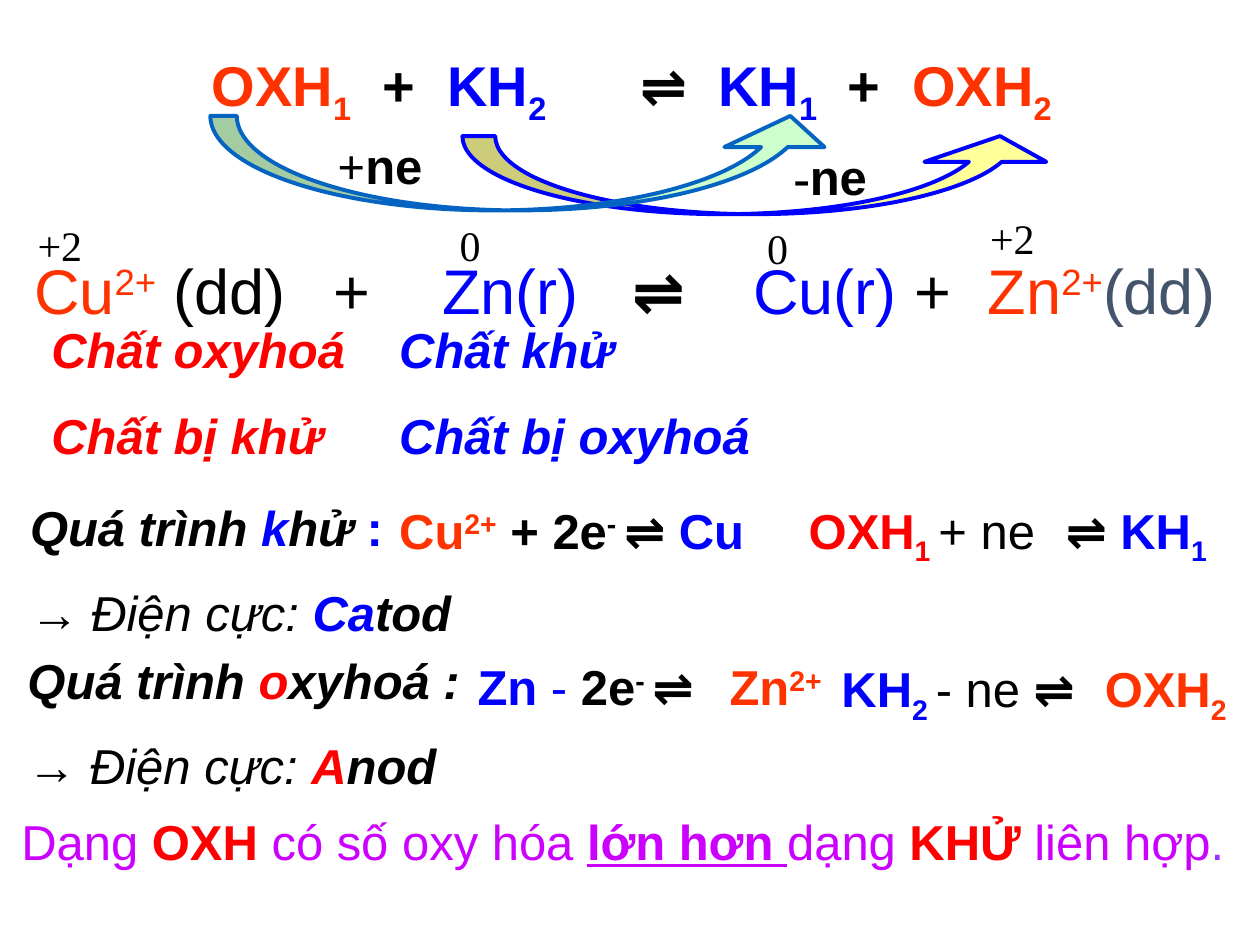
from lxml import etree
from pptx import Presentation
from pptx.dml.color import RGBColor
from pptx.enum.shapes import MSO_SHAPE as Shape
from pptx.enum.text import MSO_ANCHOR as Anchor, MSO_AUTO_SIZE as AutoSize, PP_ALIGN as Align
from pptx.oxml.ns import qn
from pptx.util import Inches, Pt

COLORS = {
    "black": "000000", "blue": "0000FF", "orange": "FF3300", "red": "FF0000",
    "slate": "44546A", "violet": "CC00FF", "purple": "9933FF",
    "teal": "0563C1", "yellow": "FFFF99", "mint": "CCFFCC",
}
BASELINES = {"^": "30000", "_": "-25000"}


def color(name):
    """Return the named colour."""
    return RGBColor.from_string(COLORS[name])


def add_span(para, size, text, tint="black", style=""):
    """Add a run; style letters: b, i, u, t (Times), ^ (super), _ (sub)."""
    span = para.add_run()
    span.text = text
    font = span.font
    font.name = "Times New Roman" if "t" in style else "Arial"
    font.size = Pt(size)
    font.bold = "b" in style
    font.italic = "i" in style
    font.underline = "u" in style
    font.color.rgb = color(tint)
    for mark, baseline in BASELINES.items():
        if mark in style:
            span._r.get_or_add_rPr().set("baseline", baseline)


def set_tabs(para, stops):
    """Set left tab stops, in inches from the start of the text."""
    tab_list = etree.SubElement(para._p.get_or_add_pPr(), qn("a:tabLst"))
    for stop in stops:
        etree.SubElement(tab_list, qn("a:tab"), pos=str(Inches(stop)), algn="l")


def fill_text(box, lines, size=28, stops=()):
    """Write lines of runs into a box."""
    frame = box.text_frame
    frame.word_wrap = True
    frame.auto_size = AutoSize.NONE
    for index, spans in enumerate(lines):
        para = frame.paragraphs[0] if index == 0 else frame.add_paragraph()
        para.alignment = Align.LEFT
        para.space_before = Pt(15 if index else 0)
        if stops:
            set_tabs(para, stops)
        for span in spans:
            add_span(para, size, *span)


def place(box, left, top, width, height):
    """Move and size a placeholder."""
    box.left, box.top = Inches(left), Inches(top)
    box.width, box.height = Inches(width), Inches(height)


def add_text(page, area, lines, size=28, stops=()):
    """Add a text box and return it."""
    box = page.shapes.add_textbox(*map(Inches, area))
    fill_text(box, lines, size, stops)
    return box


def add_arrow(page, area, fill, line, adjustments):
    """Add a curved electron transfer arrow."""
    arrow = page.shapes.add_shape(Shape.CURVED_UP_ARROW, *map(Inches, area))
    for index, value in enumerate(adjustments):
        arrow.adjustments[index] = value
    arrow.shadow.inherit = False
    arrow.fill.solid()
    arrow.fill.fore_color.rgb = color(fill)
    arrow.line.color.rgb = color(line)
    arrow.line.width = Pt(2.25)


def add_reaction(page, left, top, width, height):
    """Write the copper and zinc reaction with its oxidation numbers."""
    title = page.shapes.title
    place(title, left, top, width, height)
    fill_text(title, [[
        ("Cu", "orange"), ("2+", "orange", "^"), (" (dd)\t+\t",),
        ("Zn(r)\t", "blue"), ("⇌\t", "black", "b"), ("Cu(r)", "blue"),
        (" +\t",), ("Zn", "orange"), ("2+", "orange", "^"), ("(dd)", "slate"),
    ]], 36, (2.38, 3.24, 4.75, 5.71, 7.57))
    title.text_frame.vertical_anchor = Anchor.MIDDLE
    title.text_frame.paragraphs[0].line_spacing = 0.9
    for dx, dy, number in ((0.03, -0.02, "+2"), (5.82, 0.01, "0"),
                           (3.38, -0.02, "0"), (7.59, -0.07, "+2")):
        add_text(page, (left + dx, top + dy, 0.83, 0.5), [[(number, "black", "t")]], 24)


def add_roles(page, left, top, width, height):
    """Name the roles of both reactants in two columns."""
    columns = (("red", "Chất oxyhoá", "Chất bị khử"),
               ("blue", "Chất khử", "Chất bị oxyhoá"))
    for index, (tint, *names) in enumerate(columns):
        add_text(page, (left + index * 2.76, top, width, height),
                 [[(name, tint, "bi")] for name in names])


def add_reduction(page, left, top, width, height):
    """Write the reduction process at the cathode."""
    add_text(page, (left + 2.93, top + 0.02, 3.25, 0.64), [[
        ("Cu", "orange", "b"), ("2+", "orange", "b^"), (" + 2e", "black", "b"),
        ("- ", "black", "b^"), ("⇌ ", "black", "b"), ("Cu", "blue", "b"),
    ]])
    add_text(page, (left + 6.18, top + 0.02, 3.58, 0.57), [[
        ("OXH", "red", "b"), ("1 ", "red", "b_"), ("+ ne\t",),
        ("⇌ ", "black", "b"), ("KH", "blue", "b"), ("1", "blue", "b_"),
    ]], stops=(2.04,))
    add_text(page, (left, top, width, height), [
        [("Quá trình ", "black", "bi"), ("k", "blue", "bi"),
         ("hử ", "black", "bi"), (":", "blue", "b")],
        [("→ ", "black", "it"), ("Điện cực: ", "black", "i"),
         ("Ca", "blue", "bi"), ("tod", "black", "bi")],
    ])


def add_oxidation(page, left, top, width, height):
    """Write the oxidation process at the anode."""
    body = page.placeholders[1]
    place(body, left + 3.57, top - 0.23, 4, 1)
    fill_text(body, [[
        ("Zn ", "blue", "b"), ("- ", "blue"), ("2e", "black", "b"),
        ("- ", "black", "b^"), ("⇌\t", "black", "b"),
        ("Zn", "orange", "b"), ("2+", "orange", "b^"),
    ]], stops=(1.92,))
    body.text_frame.vertical_anchor = Anchor.BOTTOM
    body.text_frame.margin_bottom = Inches(0.2)
    properties = body.text_frame.paragraphs[0]._p.get_or_add_pPr()
    properties.set("marL", "0")
    properties.set("indent", "0")
    properties.find(qn("a:tabLst")).addprevious(etree.Element(qn("a:buNone")))
    add_text(page, (left + 6.46, top + 0.07, 3.33, 0.57), [[
        ("KH", "blue", "b"), ("2 ", "blue", "b_"), ("- ne",),
        (" ⇌\t", "black", "b"), ("OXH", "orange", "b"), ("2", "orange", "b_"),
    ]], stops=(2.09,))
    add_text(page, (left, top, width, height), [
        [("Quá trình ", "black", "bi"), ("o", "red", "bi"), ("xyhoá :", "black", "bi")],
        [("→ Điện cực: ", "black", "i"), ("A", "red", "bi"), ("nod", "black", "bi")],
    ])


def add_scheme(page, left, top, width, height):
    """Write the general equation and draw its electron transfers."""
    equation = add_text(page, (left, top, width, height), [[
        ("OXH", "orange", "b"), ("1", "orange", "b_"), ("\t+\t", "black", "b"),
        ("KH", "blue", "b"), ("2", "blue", "b_"), ("\t⇌\t", "black", "b"),
        ("KH", "blue", "b"), ("1", "blue", "b_"), ("\t+\t", "black", "b"),
        ("OXH", "orange", "b"), ("2", "orange", "b_"),
    ]], 32, (1.36, 1.87, 3.4, 4.02, 5.05, 5.56))
    equation.text_frame.margin_left = Inches(0.97)
    add_arrow(page, (left + 2.96, top + 0.73, 4.75, 0.62), "yellow", "blue", (0.42, 1.56, 0.33))
    add_arrow(page, (left + 0.96, top + 0.57, 5, 0.75), "mint", "teal", (0.28, 1.06, 0.33))
    for dx, dy, sign in ((1.87, 0.68, "+"), (5.49, 0.76, "-")):
        add_text(page, (left + dx, top + dy, 0.93, 0.57),
                 [[(sign, "black", "bt"), ("ne", "black", "b")]])


def add_conclusion(page, left, top, width, height):
    """Write the closing rule."""
    box = add_text(page, (left, top, width, height), [[
        ("Dạng ", "violet"), ("OXH ", "red", "b"), ("có số oxy hóa ", "violet"),
        ("lớn hơn ", "violet", "bu"), ("dạng ", "violet"), ("KHỬ ", "red", "b"),
        ("liên hợp", "violet"), (".", "purple"),
    ]])
    box.text_frame.margin_left = Inches(0.17)


def main():
    """Build the slide and save it."""
    deck = Presentation()
    deck.slide_width, deck.slide_height = Inches(10), Inches(7.5)
    page = deck.slides.add_slide(deck.slide_layouts[1])
    add_reaction(page, 0.17, 1.71, 9.75, 1.25)
    add_roles(page, 0.31, 2.49, 3.17, 1.28)
    add_reduction(page, 0.14, 3.9, 3.7, 1.28)
    add_oxidation(page, 0.12, 5.11, 3.7, 1.28)
    add_scheme(page, 0.71, 0.35, 8.67, 0.63)
    add_conclusion(page, 0, 6.39, 10, 0.57)
    deck.save("out.pptx")


if __name__ == "__main__":
    main()
